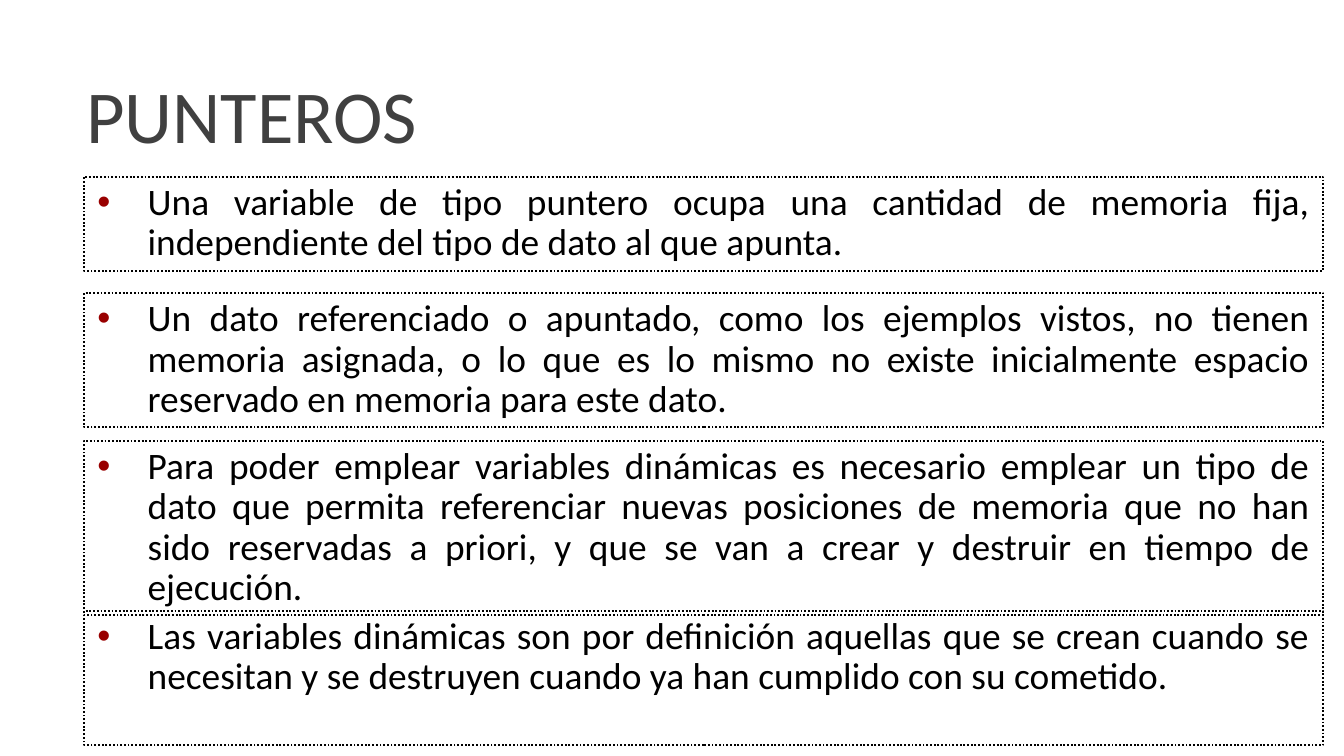
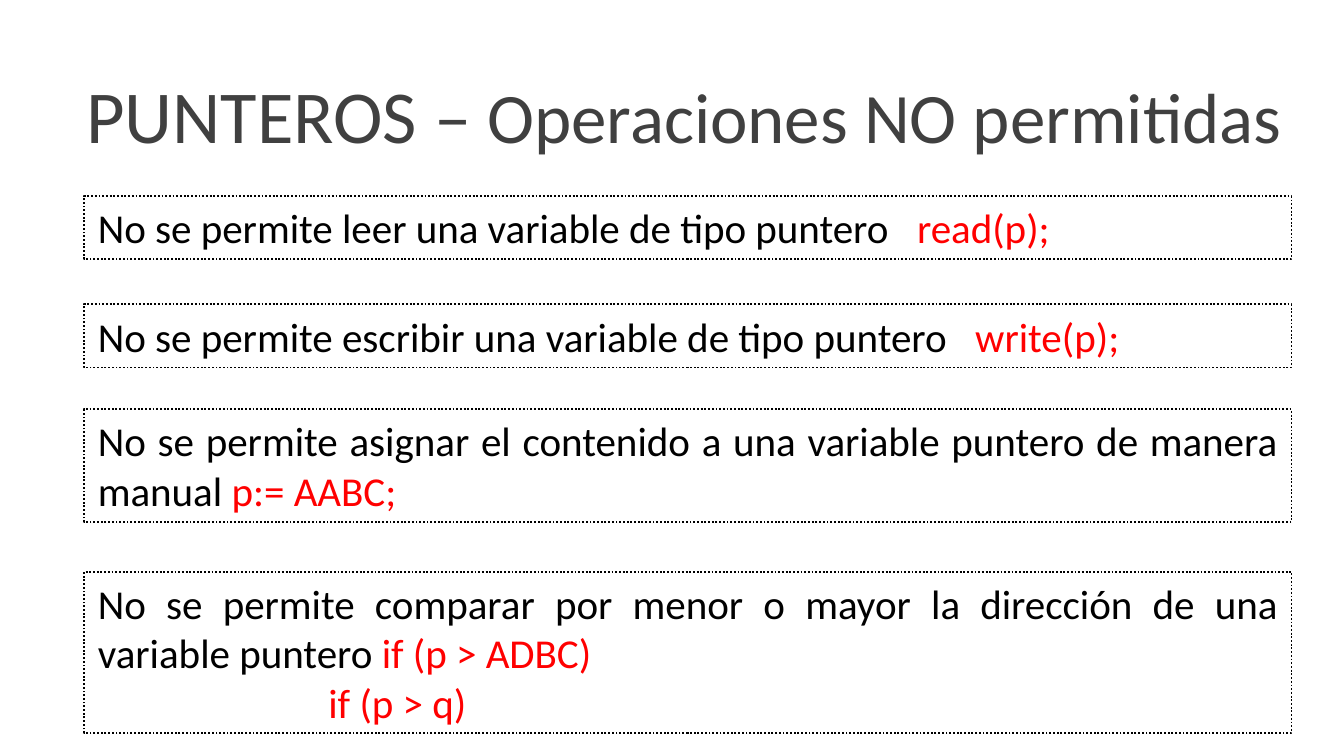
from lxml import etree
from pptx import Presentation
from pptx.dml.color import RGBColor
from pptx.enum.dml import MSO_LINE
from pptx.enum.shapes import MSO_SHAPE
from pptx.enum.text import MSO_ANCHOR, MSO_AUTO_SIZE, PP_ALIGN
from pptx.oxml.ns import qn
from pptx.util import Pt

PX = 4572
FONT = "Calibri"
BLACK = RGBColor(0x00, 0x00, 0x00)
GREY = RGBColor(0x40, 0x40, 0x40)
RED = RGBColor(0xFF, 0x00, 0x00)
BULLET_RED = RGBColor(0x99, 0x00, 0x00)
WHITE = RGBColor(0xFF, 0xFF, 0xFF)
RECTANGLE = MSO_SHAPE.RECTANGLE
DOTTED = MSO_LINE.ROUND_DOT
TOP, BOTTOM = MSO_ANCHOR.TOP, MSO_ANCHOR.BOTTOM
GROW = MSO_AUTO_SIZE.SHAPE_TO_FIT_TEXT
JUSTIFY = PP_ALIGN.JUSTIFY

BOX_LEFT = 125
FACT_WIDTH, RULE_WIDTH = 1844, 1797
BULLET_INDENT = 75
CODE_GAP = "1000"

FACTS = [
    (263, 140, "Una variable de tipo puntero ocupa una cantidad de memoria fija, "
               "independiente del tipo de dato al que apunta."),
    (436, 200, "Un dato referenciado o apuntado, como los ejemplos vistos, no tienen "
               "memoria asignada, o lo que es lo mismo no existe inicialmente espacio "
               "reservado en memoria para este dato."),
    (656, 260, "Para poder emplear variables dinámicas es necesario emplear un tipo de "
               "dato que permita referenciar nuevas posiciones de memoria que no han "
               "sido reservadas a priori, y que se van a crear y destruir en tiempo de "
               "ejecución."),
    (909, 200, "Las variables dinámicas son por definición aquellas que se crean cuando "
               "se necesitan y se destruyen cuando ya han cumplido con su cometido."),
]

RULES = [
    (292, 94, True, [(1, "No se permite leer una variable de tipo puntero", "read(p);")]),
    (453, 94, True, [(1, "No se permite escribir una variable de tipo puntero", "write(p);")]),
    (609, 168, False, [(1, "No se permite asignar el contenido a una variable puntero "
                           "de manera manual", "p:= AABC;")]),
    (851, 240, False, [(1, "No se permite comparar por menor o mayor la dirección de una "
                           "variable puntero", "if (p > ADBC)"),
                       (344, "", "if (p > q)")]),
]

TITLES = [
    [("PUNTEROS", 40)],
    [("PUNTEROS –", 40), (" Operaciones NO permitidas", 38)],
]


def add_run(paragraph, text, size, color):
    run = paragraph.add_run()
    run.text = text
    run.font.name = FONT
    run.font.size = Pt(size)
    run.font.color.rgb = color
    return run


def add_dotted_box(slide, top, width, height):
    box = slide.shapes.add_shape(RECTANGLE, BOX_LEFT * PX, top * PX, width * PX, height * PX)
    box.shadow.inherit = False
    box.fill.background()
    box.line.color.rgb = BLACK
    box.line.width = Pt(1)
    box.line.dash_style = DOTTED
    frame = box.text_frame
    frame.word_wrap = True
    frame.auto_size = GROW
    frame.vertical_anchor = TOP
    return frame


prs = Presentation()
prs.slide_width = 2000 * PX
prs.slide_height = 1125 * PX

slides = []
for title_parts in TITLES:
    slide = prs.slides.add_slide(prs.slide_layouts[6])
    slide.background.fill.solid()
    slide.background.fill.fore_color.rgb = WHITE
    title = slide.shapes.add_textbox(109 * PX, 26 * PX, 1866 * PX, 220 * PX).text_frame
    title.word_wrap = True
    title.vertical_anchor = BOTTOM
    heading = title.paragraphs[0]
    heading.line_spacing = 0.85
    for text, size in title_parts:
        add_run(heading, text, size, GREY)
    slides.append(slide)

pointers, forbidden = slides

for top, height, fact in FACTS:
    paragraph = add_dotted_box(pointers, top, FACT_WIDTH, height).paragraphs[0]
    paragraph.alignment = JUSTIFY
    paragraph.line_spacing = 0.9
    props = paragraph._p.get_or_add_pPr()
    props.set("marL", str(BULLET_INDENT * PX))
    props.set("indent", str(-BULLET_INDENT * PX))
    bullet_color = etree.SubElement(props, qn("a:buClr"))
    etree.SubElement(bullet_color, qn("a:srgbClr"), val=str(BULLET_RED))
    etree.SubElement(props, qn("a:buFont"), typeface="Arial")
    etree.SubElement(props, qn("a:buChar"), char="•")
    add_run(paragraph, fact, 20, BLACK)

for top, height, wide_gap, lines in RULES:
    frame = add_dotted_box(forbidden, top, RULE_WIDTH, height)
    for number, (indent, rule, code) in enumerate(lines):
        paragraph = frame.add_paragraph() if number else frame.paragraphs[0]
        paragraph.alignment = JUSTIFY
        props = paragraph._p.get_or_add_pPr()
        props.set("marL", str(indent * PX))
        props.set("indent", "0")
        if rule:
            add_run(paragraph, rule, 22, BLACK)
            gap = add_run(paragraph, " ", 22, BLACK)
            if wide_gap:
                gap._r.get_or_add_rPr().set("spc", CODE_GAP)
        add_run(paragraph, code, 22, RED)

prs.save("out.pptx")
